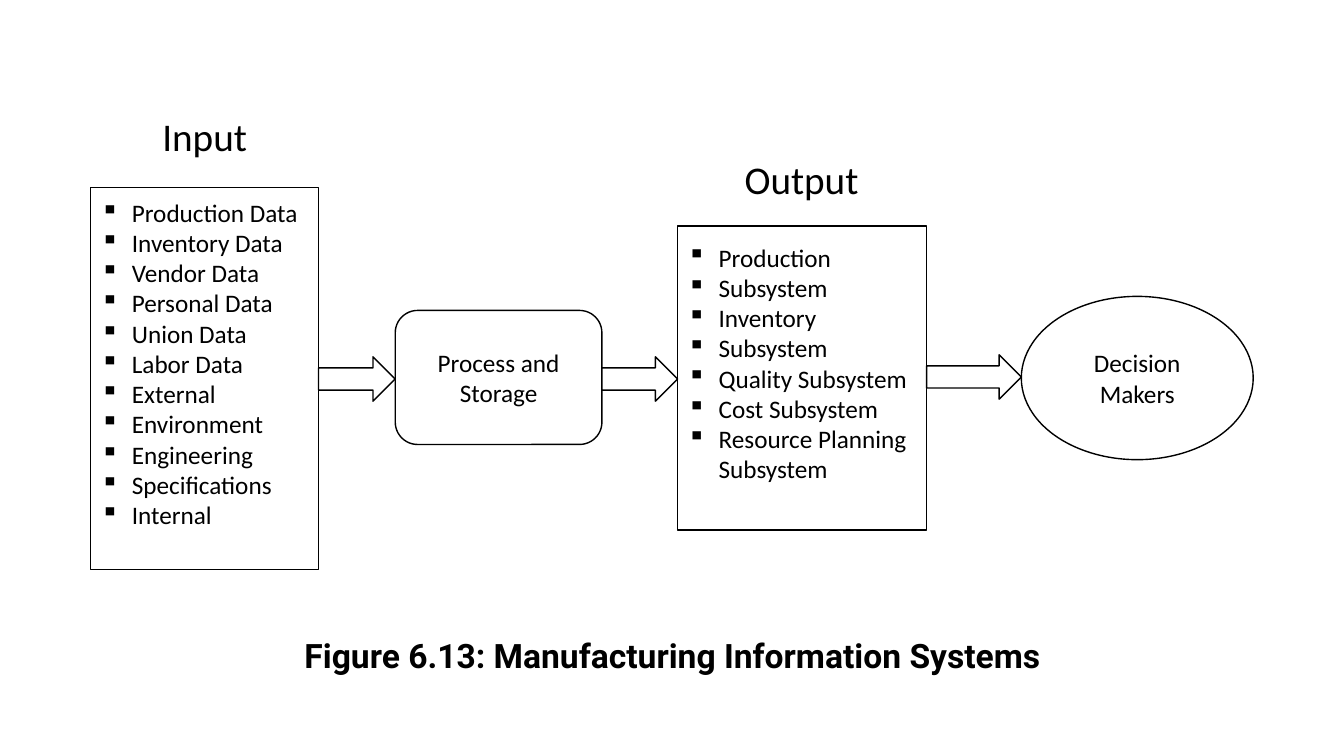
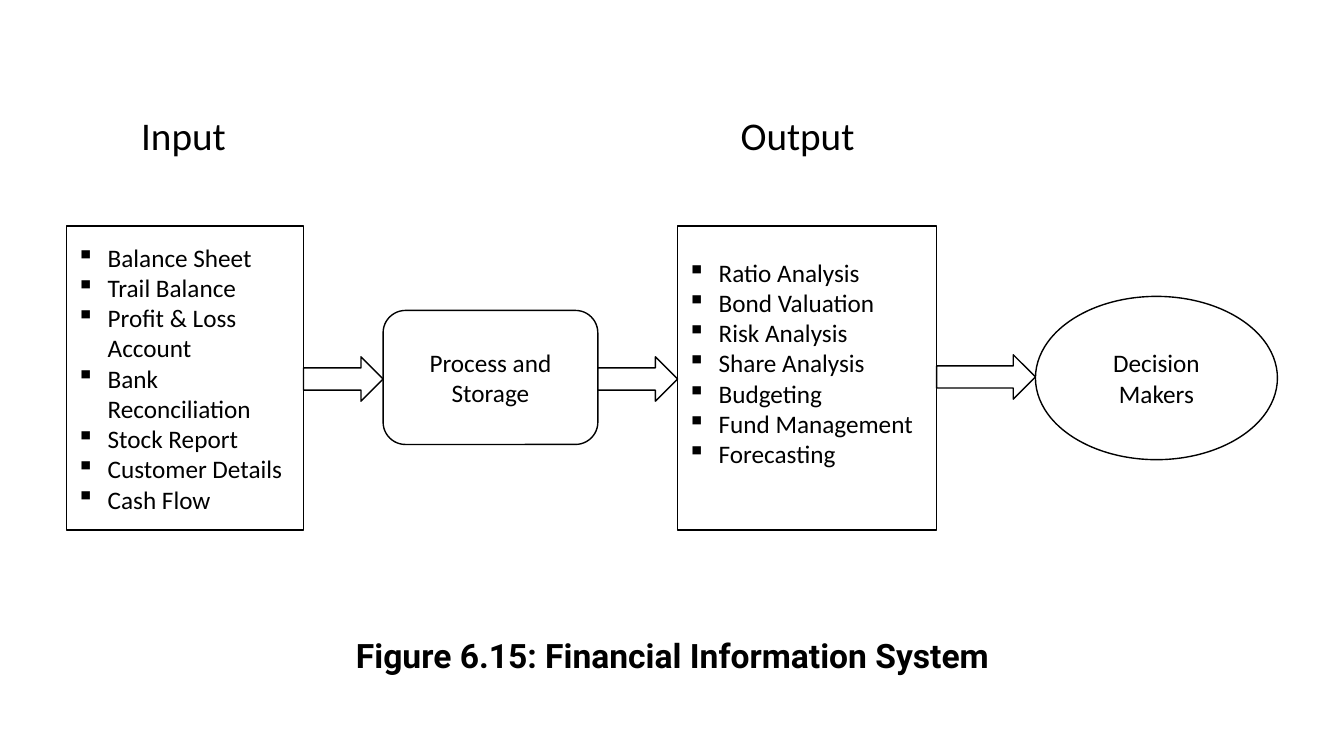
from dataclasses import dataclass

from lxml.etree import SubElement
from pptx import Presentation
from pptx.dml.color import RGBColor
from pptx.enum.shapes import MSO_SHAPE
from pptx.enum.text import MSO_ANCHOR, MSO_AUTO_SIZE, PP_ALIGN
from pptx.oxml.ns import qn
from pptx.util import Inches, Pt

INK = "000000"
PAPER = "FFFFFF"
BODY_FONT = "Calibri"
CAPTION_FONT = "Roboto"
BULLET_INDENT = 0.31
SPARE_LINE = 0.3
ARROW_HEIGHT = 0.44
ARROW_TOPS = (3.54, 3.54, 3.52)


@dataclass(frozen=True)
class Heading:
    """A label above a stage, by its left and top."""
    text: str
    left: float
    top: float


@dataclass(frozen=True)
class Stage:
    """One outlined step of the flow."""
    form: MSO_SHAPE
    left: float
    top: float
    width: float
    height: float
    lines: tuple[str, ...]
    bulleted: bool = False
    spare_line: bool = False


@dataclass(frozen=True)
class Diagram:
    """A captioned flow of stages joined by arrows."""
    caption: str
    headings: tuple[Heading, ...]
    stages: tuple[Stage, ...]


def color(value: str) -> RGBColor:
    """Turn a hex string into a colour."""
    return RGBColor.from_string(value)


def data_list(left, top, width, height, *lines, spare_line=False) -> Stage:
    """Describe a rectangle that holds a bulleted list."""
    return Stage(MSO_SHAPE.RECTANGLE, left, top, width, height, lines, True, spare_line)


def process(left: float, width: float) -> Stage:
    """Describe the rounded processing step."""
    return Stage(MSO_SHAPE.ROUNDED_RECTANGLE, left, 3.08, width, 1.33, ("Process and Storage",))


def decision(left: float, width: float) -> Stage:
    """Describe the closing ellipse."""
    return Stage(MSO_SHAPE.OVAL, left, 2.94, width, 1.62, ("Decision Makers",))


def add_bullet(para) -> None:
    """Give a paragraph a square bullet and a hanging indent."""
    properties = para._p.get_or_add_pPr()
    properties.set("marL", str(Inches(BULLET_INDENT)))
    properties.set("indent", str(-Inches(BULLET_INDENT)))
    SubElement(properties, qn("a:buChar")).set("char", "▪")


def write(box, lines, *, size=18, font=BODY_FONT, bold=False, bulleted=False,
          anchor=MSO_ANCHOR.MIDDLE) -> None:
    """Fill a box with formatted paragraphs."""
    frame = box.text_frame
    frame.word_wrap = True
    frame.auto_size = MSO_AUTO_SIZE.NONE
    frame.vertical_anchor = anchor
    for index, line in enumerate(lines):
        para = frame.paragraphs[0] if index == 0 else frame.add_paragraph()
        para.alignment = PP_ALIGN.LEFT if bulleted else PP_ALIGN.CENTER
        if bulleted:
            add_bullet(para)
        span = para.add_run()
        span.text = line
        span.font.size = Pt(size)
        span.font.name = font
        span.font.bold = bold
        span.font.color.rgb = color(INK)


def add_outline(page, form: MSO_SHAPE, left: float, top: float, width: float, height: float):
    """Add a white shape with a thin black line."""
    box = page.shapes.add_shape(form, Inches(left), Inches(top), Inches(width), Inches(height))
    box.shadow.inherit = False
    box.fill.solid()
    box.fill.fore_color.rgb = color(PAPER)
    box.line.color.rgb = color(INK)
    box.line.width = Pt(1)
    return box


def add_stage(page, stage: Stage) -> None:
    """Draw a stage with its text."""
    box = add_outline(page, stage.form, stage.left, stage.top, stage.width, stage.height)
    write(box, stage.lines, bulleted=stage.bulleted)
    if stage.spare_line:
        box.text_frame.margin_bottom = Inches(0.05 + SPARE_LINE)


def add_heading(page, heading: Heading) -> None:
    """Draw a heading above a stage."""
    box = page.shapes.add_textbox(Inches(heading.left), Inches(heading.top),
                                  Inches(2.38), Inches(0.42))
    write(box, (heading.text,), size=28)


def add_caption(page, text: str) -> None:
    """Move the title to the foot of the page and format it as the caption."""
    title = page.shapes.title
    title.left, title.top = Inches(2.68), Inches(6.25)
    title.width, title.height = Inches(7.98), Inches(0.5)
    write(title, (text,), size=24, font=CAPTION_FONT, bold=True, anchor=MSO_ANCHOR.TOP)


def add_diagram(deck, diagram: Diagram) -> None:
    """Add a page with one diagram."""
    page = deck.slides.add_slide(deck.slide_layouts[5])
    add_caption(page, diagram.caption)
    for stage in diagram.stages:
        add_stage(page, stage)
    for start, end, top in zip(diagram.stages, diagram.stages[1:], ARROW_TOPS):
        left = start.left + start.width
        add_outline(page, MSO_SHAPE.RIGHT_ARROW, left, top, end.left - left, ARROW_HEIGHT)
    for heading in diagram.headings:
        add_heading(page, heading)


DIAGRAMS = (
    Diagram(
        "Figure 6.13: Manufacturing Information Systems",
        (Heading("Input", 0.84, 1.14), Heading("Output", 6.76, 1.56)),
        (
            data_list(0.9, 1.86, 2.26, 3.79, "Production Data", "Inventory Data", "Vendor Data",
                      "Personal Data", "Union Data", "Labor Data", "External", "Environment",
                      "Engineering", "Specifications", "Internal", spare_line=True),
            process(3.92, 2.05),
            data_list(6.72, 2.24, 2.47, 3.02, "Production", "Subsystem", "Inventory", "Subsystem",
                      "Quality Subsystem", "Cost Subsystem", "Resource Planning Subsystem",
                      spare_line=True),
            decision(10.13, 2.3),
        ),
    ),
    Diagram(
        "Figure 6.15: Financial Information System",
        (Heading("Input", 0.63, 1.13), Heading("Output", 6.72, 1.13)),
        (
            data_list(0.66, 2.24, 2.35, 3.02, "Balance Sheet", "Trail Balance",
                      "Profit & Loss Account", "Bank Reconciliation", "Stock Report",
                      "Customer Details", "Cash Flow"),
            process(3.8, 2.13),
            data_list(6.72, 2.24, 2.57, 3.02, "Ratio Analysis", "Bond Valuation", "Risk Analysis",
                      "Share Analysis", "Budgeting", "Fund Management", "Forecasting",
                      spare_line=True),
            decision(10.27, 2.4),
        ),
    ),
)


def main() -> None:
    """Build and save the deck."""
    deck = Presentation()
    deck.slide_width, deck.slide_height = Inches(13.33), Inches(7.5)
    for diagram in DIAGRAMS:
        add_diagram(deck, diagram)
    deck.save("out.pptx")


if __name__ == "__main__":
    main()
